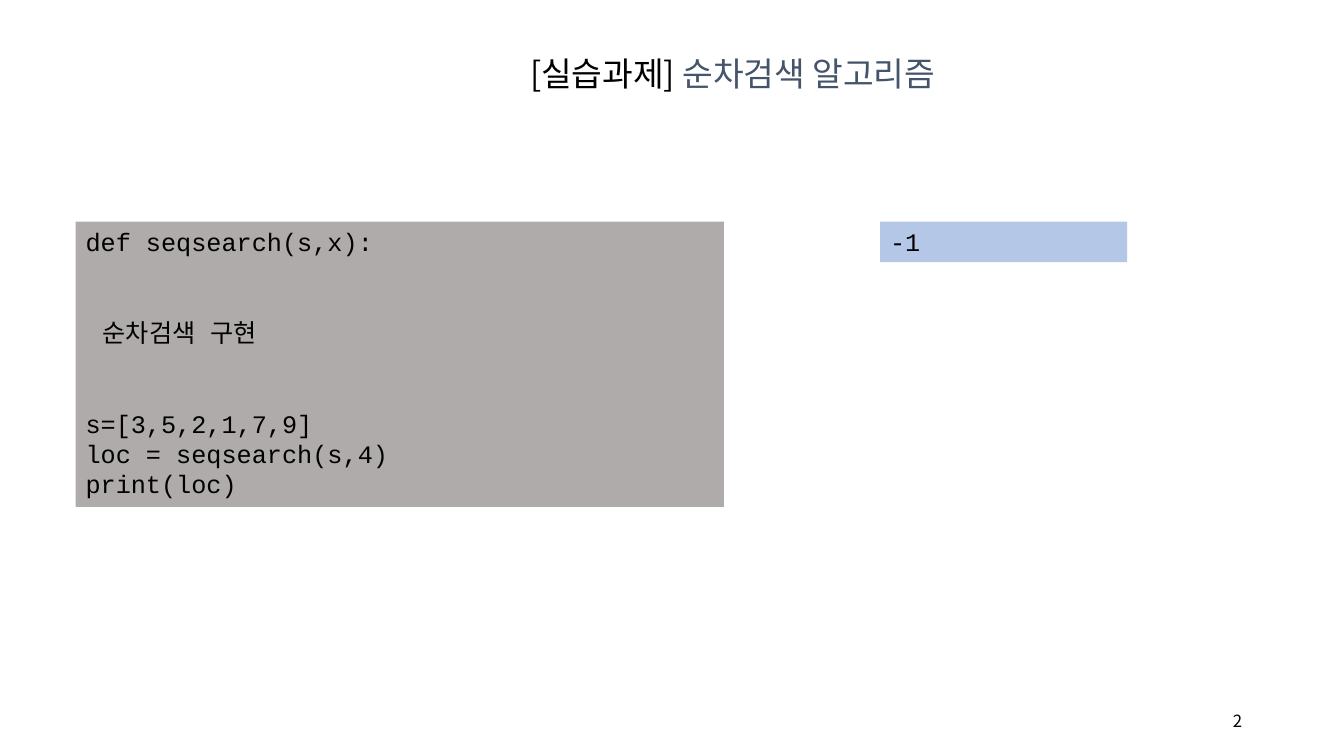
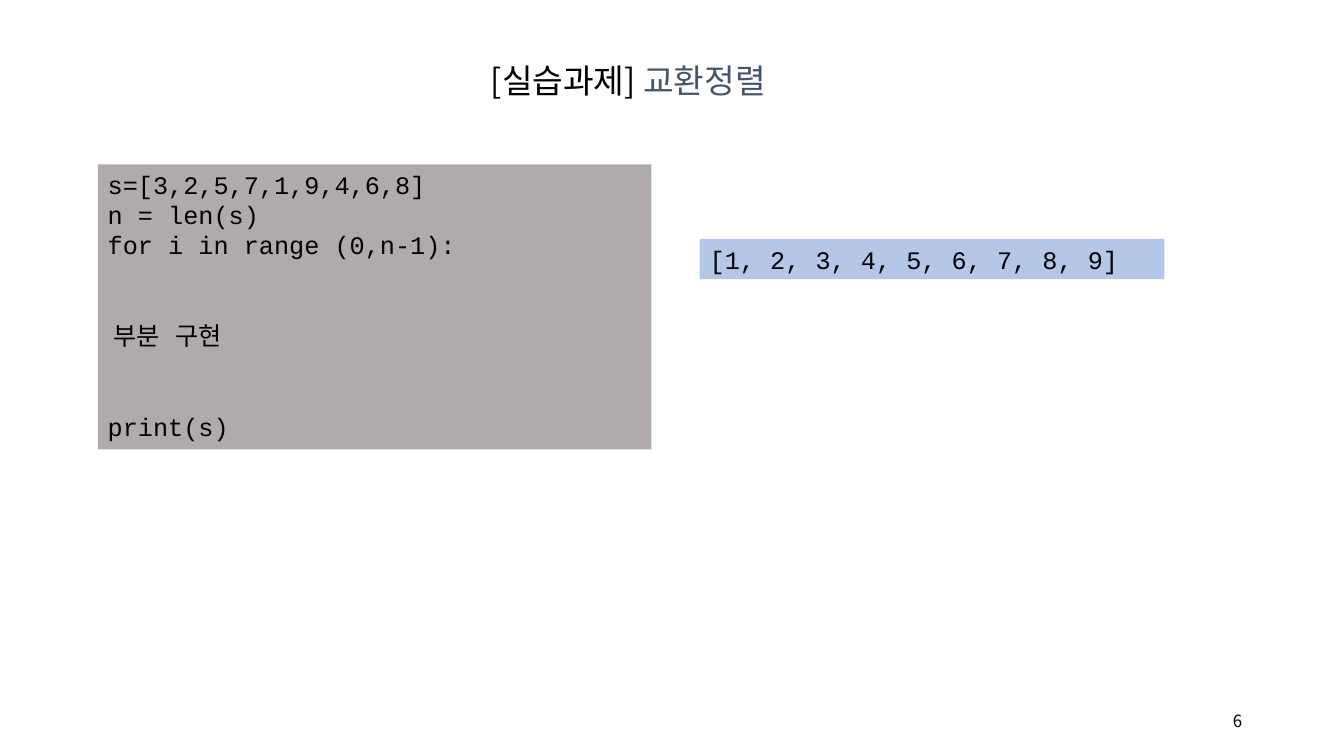
from pptx import Presentation
from pptx.dml.color import RGBColor
from pptx.enum.text import MSO_ANCHOR as Anchor, PP_ALIGN as Align
from pptx.oxml.ns import qn
from pptx.util import Inches, Pt

BLACK = RGBColor(0x00, 0x00, 0x00)
SLATE = RGBColor(0x44, 0x54, 0x6A)
GRAY = RGBColor(0xAF, 0xAB, 0xAB)
BLUE = RGBColor(0xB4, 0xC7, 0xE7)
SANS, SERIF, MONO = "Noto Sans CJK KR", "Times New Roman", "Courier New"
GAP = 43.2


def add_span(para, text, size=18, font=MONO, asian=None, color=BLACK):
    span = para.add_run()
    span.text = text
    span.font.size = Pt(size)
    span.font.name = font
    span.font.color.rgb = color
    east = span.font._element.makeelement(qn("a:ea"), {"typeface": asian or font})
    span.font._element.find(qn("a:latin")).addnext(east)


class Lesson:
    """Builds exercise slides in one shared style."""

    def __init__(self):
        self.deck = Presentation()
        self.deck.slide_width = Inches(13.33)
        self.deck.slide_height = Inches(7.5)

    def start_page(self, number):
        self.page = self.deck.slides.add_slide(self.deck.slide_layouts[6])
        frame = self.add_box(11.96, 6.95, 0.46, 0.4).text_frame
        frame.vertical_anchor = Anchor.MIDDLE
        para = frame.paragraphs[0]
        para.alignment = Align.RIGHT
        add_span(para, number, size=12, font=SANS)

    def add_box(self, left, top, width, height, fill=None):
        box = self.page.shapes.add_textbox(
            Inches(left), Inches(top), Inches(width), Inches(height))
        box.text_frame.word_wrap = True
        if fill is not None:
            box.fill.solid()
            box.fill.fore_color.rgb = fill
        return box

    def add_title(self, topic, left, top, width, spacing, font=SANS):
        para = self.add_box(left, top, width, 0.67).text_frame.paragraphs[0]
        para.line_spacing = spacing
        para.space_before = Pt(10)
        props = para._p.get_or_add_pPr()
        props.set("marL", str(Inches(0.25)))
        props.set("indent", str(-Inches(0.25)))
        add_span(para, "[실습과제] ", size=23.8, font=SANS)
        add_span(para, topic, size=23.8, font=font, asian=SANS, color=SLATE)

    def add_code(self, lines, left, top, width, height, fill=GRAY, task=None, indent=0):
        frame = self.add_box(left, top, width, height, fill).text_frame
        for index, line in enumerate(lines):
            para = frame.add_paragraph() if index else frame.paragraphs[0]
            add_span(para, line)
            if line == task:
                para.space_before = para.space_after = Pt(GAP)
                para._p.get_or_add_pPr().set("marL", str(Inches(indent)))

    def add_output(self, text, left, top, width):
        self.add_code([text], left, top, width, 0.4, fill=BLUE)


lesson = Lesson()

lesson.start_page("2")
search_task = "순차검색 구현"
lesson.add_code(
    ["def seqsearch(s,x):", search_task, "s=[3,5,2,1,7,9]",
     "loc = seqsearch(s,4)", "print(loc)"],
    0.75, 2.2, 6.43, 2.83, task=search_task, indent=0.17)
lesson.add_output("-1", 8.73, 2.2, 2.45)
lesson.add_title("순차검색 알고리즘", 5.16, 0.59, 4.8, 0.7, font=SERIF)

lesson.start_page("6")
sort_task = "부분 구현"
lesson.add_code(
    ["s=[3,2,5,7,1,9,4,6,8]", "n = len(s)", "for i in range (0,n-1):",
     sort_task, "print(s)"],
    0.97, 1.63, 5.49, 2.83, task=sort_task, indent=0.06)
lesson.add_output("[1, 2, 3, 4, 5, 6, 7, 8, 9]", 6.94, 2.37, 4.61)
lesson.add_title("교환정렬", 4.77, 0.62, 4.97, 0.8)

lesson.deck.save("out.pptx")
